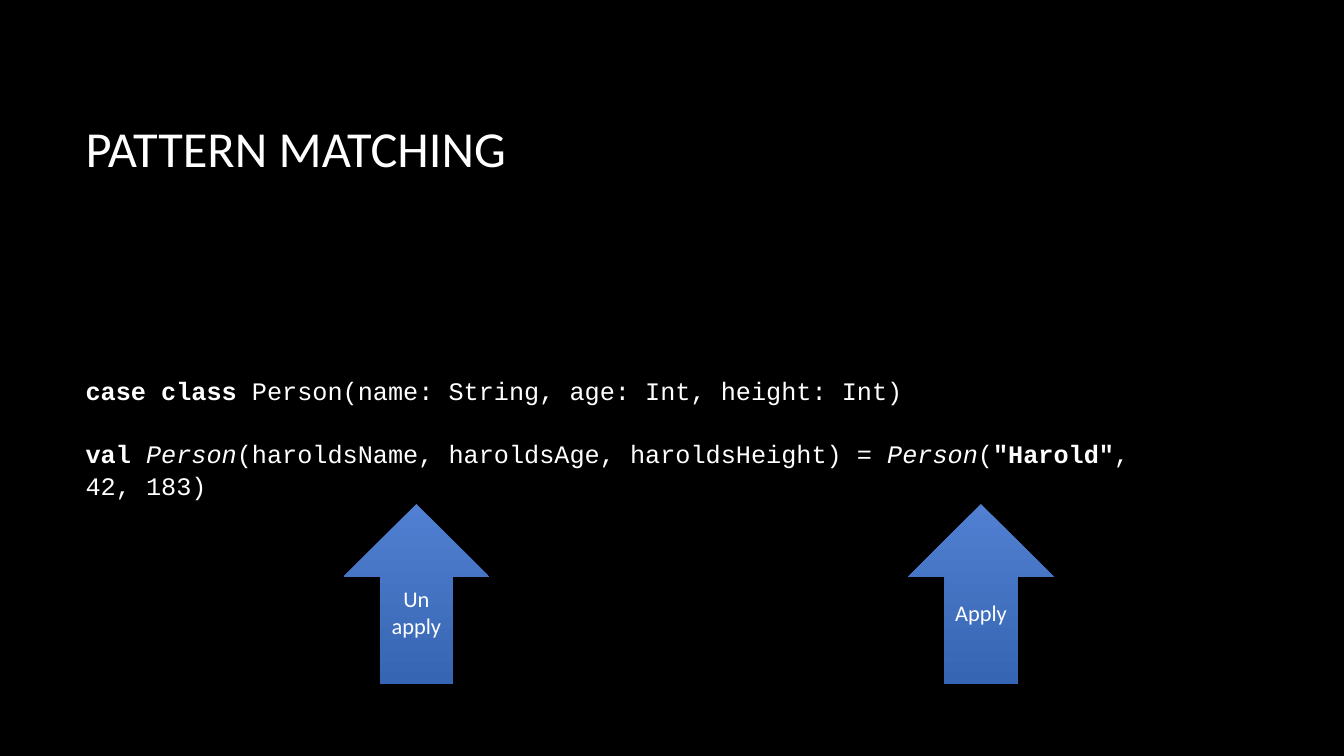
import pptx
import pptx.dml.color
import pptx.enum.shapes
import pptx.enum.text
import pptx.util

Inches = pptx.util.Inches
Pt = pptx.util.Pt


def color(value):
    return pptx.dml.color.RGBColor.from_string(value)


def add_text(para, text, size=18, font="Calibri", bold=False, italic=False):
    span = para.add_run()
    span.text = text
    span.font.size = Pt(size)
    span.font.name = font
    span.font.bold = bold
    span.font.italic = italic
    span.font.color.rgb = color("FFFFFF")


deck = pptx.Presentation()
deck.slide_width = Inches(13.33)
deck.slide_height = Inches(7.5)
page = deck.slides.add_slide(deck.slide_layouts[6])
page.background.fill.solid()
page.background.fill.fore_color.rgb = color("000000")

frames = []
for top, height in [(0.67, 1.59), (2.34, 3.99)]:
    box = page.shapes.add_textbox(Inches(0.75), Inches(top), Inches(11.08), Inches(height))
    box.text_frame.word_wrap = True
    box.text_frame.vertical_anchor = pptx.enum.text.MSO_ANCHOR.MIDDLE
    frames.append(box.text_frame)
title, code = frames

add_text(title.paragraphs[0], "PATTERN MATCHING", size=36)

statements = [
    [
        ("case class ", {"bold": True}),
        ("Person(name: String, age: Int, height: Int)", {}),
    ],
    [
        ("val ", {"bold": True}),
        ("Person", {"italic": True}),
        ("(haroldsName, haroldsAge, haroldsHeight) = ", {}),
        ("Person", {"italic": True}),
        ("(", {}),
        ('"Harold"', {"bold": True}),
        (", 42, 183)", {}),
    ],
]
for para, statement in zip([code.paragraphs[0], code.add_paragraph()], statements):
    para.line_spacing = 1.06
    for text, style in statement:
        add_text(para, text, font="Courier New", **style)
code.paragraphs[0].space_after = Pt(21.6)

for left, lines in [(9.01, ["Apply"]), (3.41, ["Un", "apply"])]:
    arrow = page.shapes.add_shape(
        pptx.enum.shapes.MSO_SHAPE.UP_ARROW, Inches(left), Inches(5), Inches(1.44), Inches(1.79)
    )
    arrow.shadow.inherit = False
    arrow.line.fill.background()
    arrow.fill.gradient()
    arrow.fill.gradient_angle = 270
    for stop, position, shade in zip(arrow.fill.gradient_stops, (0, 1), ("5180D2", "3665B3")):
        stop.position = position
        stop.color.rgb = color(shade)
    arrow.text_frame.word_wrap = True
    arrow.text_frame.vertical_anchor = pptx.enum.text.MSO_ANCHOR.MIDDLE
    para = arrow.text_frame.paragraphs[0]
    para.alignment = pptx.enum.text.PP_ALIGN.CENTER
    for index, line in enumerate(lines):
        if index:
            para.add_line_break()
        add_text(para, line, size=16)

deck.save("out.pptx")
